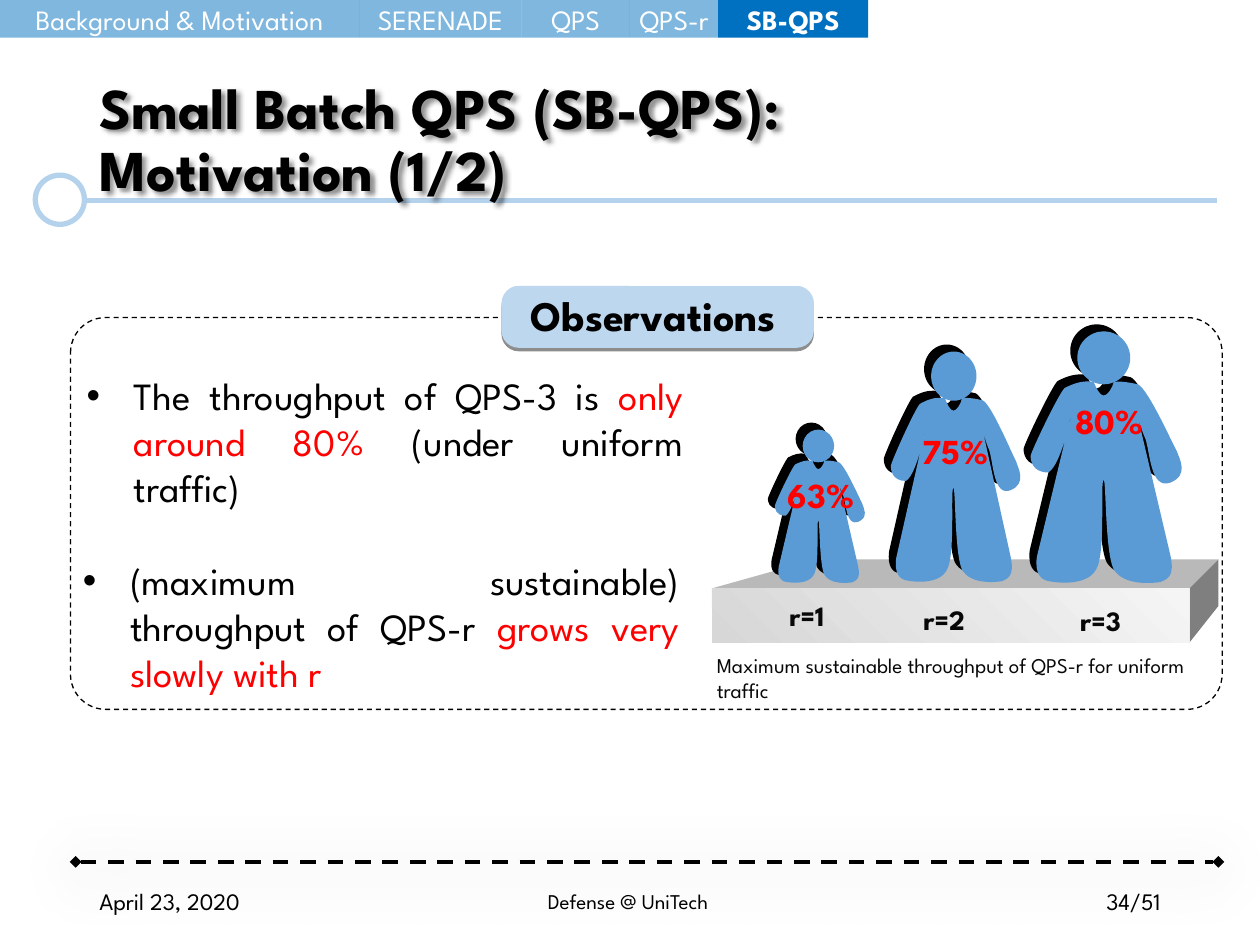
import lxml.etree
import pptx
import pptx.dml.color
import pptx.enum.dml
import pptx.enum.shapes
import pptx.enum.text
import pptx.oxml.ns
import pptx.util

SCALE = 9144
FONT = "League Spartan"
BLUE, PALE, RED, BLACK = "0070C0", "B5D2EC", "FF0000", "000000"
SHAPE = pptx.enum.shapes.MSO_SHAPE
DASH = pptx.enum.dml.MSO_LINE.DASH
ANCHOR = pptx.enum.text.MSO_ANCHOR
ALIGN = {"l": pptx.enum.text.PP_ALIGN.LEFT, "c": pptx.enum.text.PP_ALIGN.CENTER,
         "r": pptx.enum.text.PP_ALIGN.RIGHT, "j": pptx.enum.text.PP_ALIGN.JUSTIFY}

BODY_SIZE = (126, 163)
BODY_START = (66, 1)
BODY_EDGES = [
    (65, 6, 61, 12, 58, 12), (55, 12, 52, 6, 50, 1), (41, 0, 35, 2, 27, 6),
    (22, 11, 0, 57, 0, 60), (0, 63, 1, 73, 14, 73), (25, 67, 34, 20, 34, 20),
    (31, 32, 5, 140, 5, 140), (3, 154, 9, 158, 13, 159), (22, 161, 45, 163, 52, 150),
    (60, 137, 55, 79, 58, 79), (60, 79, 59, 136, 66, 150), (74, 163, 96, 161, 103, 160),
    (107, 158, 115, 157, 111, 139), (83, 20), (79, 5, 86, 36, 91, 46),
    (95, 57, 95, 87, 111, 81), (126, 75, 118, 62, 116, 56), (113, 51, 93, 6, 85, 3),
    (72, 0, 66, 1, 66, 1),
]


def px(n):
    return pptx.util.Emu(round(n * SCALE))


def rgb(value):
    return pptx.dml.color.RGBColor.from_string(value)


def add_xml(parent, tag, **attrs):
    return lxml.etree.SubElement(parent, pptx.oxml.ns.qn(tag), attrs)


def set_effect(sp, color=None, alpha=100, blur=0, dist=0, angle=0):
    effects = add_xml(sp._element.spPr, "a:effectLst")
    if color:
        shadow = add_xml(effects, "a:outerShdw", blurRad=str(round(blur * 12700)),
                         dist=str(round(dist * 12700)), dir=str(angle * 60000),
                         algn="ctr", rotWithShape="0")
        clr = add_xml(shadow, "a:srgbClr", val=color)
        add_xml(clr, "a:alpha", val=str(alpha * 1000))


def paint(sp, fill=None, line=None, width=1, dash=None, alpha=None, shadow=None):
    if fill:
        sp.fill.solid()
        sp.fill.fore_color.rgb = rgb(fill)
        if alpha:
            clr = sp._element.spPr.find(".//" + pptx.oxml.ns.qn("a:srgbClr"))
            add_xml(clr, "a:alpha", val=str(alpha * 1000))
    else:
        sp.fill.background()
    if line:
        sp.line.color.rgb = rgb(line)
        sp.line.width = pptx.util.Pt(width)
        sp.line.dash_style = dash
    else:
        sp.line.fill.background()
    set_effect(sp, **(shadow or {}))
    return sp


def add_box(s, kind, box, adj=None, **look):
    sp = s.shapes.add_shape(kind, *map(px, box))
    if adj:
        sp.adjustments[0] = adj
    return paint(sp, **look)


def add_outline(s, points, **look):
    fb = s.shapes.build_freeform(*map(px, points[0]), scale=1.0)
    fb.add_line_segments([(px(x), px(y)) for x, y in points[1:]], close=True)
    return paint(fb.convert_to_shape(), **look)


def add_line(s, x1, x2, y, color, width, dash=None, ends=None, shadow=None):
    sp = s.shapes.add_connector(pptx.enum.shapes.MSO_CONNECTOR.STRAIGHT,
                                px(x1), px(y), px(x2), px(y))
    sp.line.color.rgb = rgb(color)
    sp.line.width = pptx.util.Pt(width)
    sp.line.dash_style = dash
    if ends:
        ln = sp.line._get_or_add_ln()
        add_xml(ln, "a:headEnd", type=ends)
        add_xml(ln, "a:tailEnd", type=ends)
    set_effect(sp, **(shadow or {}))


def write(sp, runs, size, color=BLACK, bold=False, align="l", anchor=ANCHOR.TOP,
          spacing=None, bullet=False):
    tf = sp.text_frame
    tf.word_wrap = True
    tf.vertical_anchor = anchor
    p = tf.paragraphs[0]
    p.alignment = ALIGN[align]
    p.line_spacing = spacing
    if bullet:
        pPr = p._p.get_or_add_pPr()
        pPr.set("marL", str(pptx.util.Pt(27)))
        pPr.set("indent", str(-pptx.util.Pt(27)))
        add_xml(pPr, "a:buFont", typeface="Arial")
        add_xml(pPr, "a:buChar", char="•")
    for text, run_color in [(runs, color)] if isinstance(runs, str) else runs:
        for i, part in enumerate(text.split("\n")):
            if i:
                p.add_line_break()
            r = p.add_run()
            r.text = part
            r.font.name = FONT
            r.font.size = pptx.util.Pt(size)
            r.font.bold = bold
            r.font.color.rgb = rgb(run_color)


def add_text(s, box, runs, size, **fmt):
    sp = s.shapes.add_textbox(*map(px, box))
    write(sp, runs, size, **fmt)
    return sp


def add_nav(s, x, y, height, tabs, active):
    for label, width in tabs:
        on = label == active
        sp = add_box(s, SHAPE.RECTANGLE, (x, y, width, height), fill=BLUE,
                     alpha=None if on else 50)
        sp.text_frame.margin_left = sp.text_frame.margin_right = 0
        write(sp, label, 16, color="FFFFFF", bold=on, align="c", anchor=ANCHOR.MIDDLE)
        x += width


def add_title(s, x, y, text):
    add_line(s, x + 41, x + 938, y + 119, PALE, 3)
    add_box(s, SHAPE.OVAL, (x, y + 99, 39, 39), fill="FFFFFF", line=PALE, width=3)
    sp = add_text(s, (x + 41, y, 862, 145), text, 33, bold=True,
                  anchor=ANCHOR.MIDDLE, spacing=0.9)
    set_effect(sp, BLACK, 43, 3, 2, 45)


def add_footer(s, x, y, date, event, page):
    add_line(s, x - 9, x + 898, y, BLACK, 2.25, DASH, "diamond",
             dict(color=BLACK, alpha=43, blur=36, dist=4, angle=90))
    for left, width, text, size, align in [(0, 225, date, 13.5, "l"),
                                           (172, 515, event, 12, "c"),
                                           (637, 225, page, 13.5, "r")]:
        add_text(s, (x + left, y + 11, width, 40), text, size, align=align,
                 anchor=ANCHOR.MIDDLE)


def add_panel(s, x, y, width, height, heading):
    add_box(s, SHAPE.ROUNDED_RECTANGLE, (x, y, width, height), adj=0.09,
            line=BLACK, width=0.75, dash=DASH)
    add_box(s, SHAPE.ROUNDED_RECTANGLE, (x + 342, y - 25, 248, 49), adj=0.28,
            fill="BDD7EE", shadow=dict(color="1C1C1C", alpha=50, dist=2, angle=90))
    add_box(s, SHAPE.ROUNDED_RECTANGLE, (x + 344, y - 25, 244, 22), adj=0.5,
            fill="BDD7EE")
    add_text(s, (x + 344, y - 27, 237, 50), heading, 24, bold=True, align="c")


def add_platform(s, x, y, width, height):
    right, back, top = x + width, x + width + 23, y - 23
    add_outline(s, [(x, y), (x + 82, top), (back, top), (right, y)], fill="B9B9B9")
    add_outline(s, [(right, y), (back, top), (back, y + 14), (right, y + height)],
                fill="7F7F7F")
    sp = add_box(s, SHAPE.RECTANGLE, (x, y, width, height), fill="D7D7D7")
    sp.fill.gradient()
    sp.fill.gradient_angle = 45
    for stop, color in zip(sp.fill.gradient_stops, ["D7D7D7", "F5F5F5"]):
        stop.color.rgb = rgb(color)


def add_body(s, x, y, width, height, **look):
    right, bottom = x + width, y + height
    sp = add_outline(s, [(x, y), (right, y), (right, bottom), (x, bottom)], **look)
    outline = sp._element.spPr.find(".//" + pptx.oxml.ns.qn("a:path"))
    outline.clear()
    outline.set("w", str(BODY_SIZE[0]))
    outline.set("h", str(BODY_SIZE[1]))
    add_xml(add_xml(outline, "a:moveTo"), "a:pt", x=str(BODY_START[0]), y=str(BODY_START[1]))
    for edge in BODY_EDGES:
        step = add_xml(outline, "a:lnTo" if len(edge) == 2 else "a:cubicBezTo")
        for u, v in zip(edge[::2], edge[1::2]):
            add_xml(step, "a:pt", x=str(u), y=str(v))
    add_xml(outline, "a:close")


def add_person(s, body, head, value, value_box, label, label_at):
    look = dict(fill="5B9BD5", shadow=dict(color=BLACK, dist=5.7, angle=225))
    add_body(s, *body, **look)
    add_box(s, SHAPE.OVAL, head, **look)
    add_text(s, value_box, value, 20, color=RED, bold=True, align="c")
    add_text(s, (*label_at, 101, 37), label, 16, color="080808", bold=True, align="c")


def main():
    prs = pptx.Presentation()
    prs.slide_width, prs.slide_height = px(1000), px(750)
    s = prs.slides.add_slide(prs.slide_layouts[6])
    add_title(s, 28, 40, "Small Batch QPS (SB-QPS): \nMotivation (1/2)")
    add_footer(s, 69, 684, "April 23, 2020", "Defense @ UniTech", "34/51")
    add_nav(s, 0, 0, 30, [("Background & Motivation", 285), ("SERENADE", 129),
                          ("QPS", 86), ("QPS-r", 70), ("SB-QPS", 119)], "SB-QPS")
    add_panel(s, 56, 252, 914, 311, "Observations")
    add_text(s, (59, 290, 493, 121),
             [("The throughput of QPS-3 is ", BLACK), ("only around 80%", RED),
              (" (under uniform traffic) ", BLACK)], 22, align="j", bullet=True)
    add_text(s, (56, 437, 493, 121),
             [("(maximum sustainable) throughput of QPS-r ", BLACK),
              ("grows very slowly with r", RED)], 22, align="j", bullet=True)
    add_platform(s, 565, 467, 379, 43)
    add_person(s, (615, 365, 75, 99), (637, 341, 25, 26),
               "63%", (608, 371, 87, 44), "r=1", (590, 470))
    add_person(s, (707, 315, 108, 149), (739, 279, 36, 39),
               "75%", (718, 336, 81, 44), "r=2", (699, 473))
    add_person(s, (818, 302, 126, 163), (855, 263, 42, 42),
               "80%", (833, 312, 95, 43), "r=3", (823, 474))
    add_text(s, (559, 513, 412, 50),
             "Maximum sustainable throughput of QPS-r for uniform traffic", 12,
             color="080808")
    prs.save("out.pptx")


if __name__ == "__main__":
    main()
